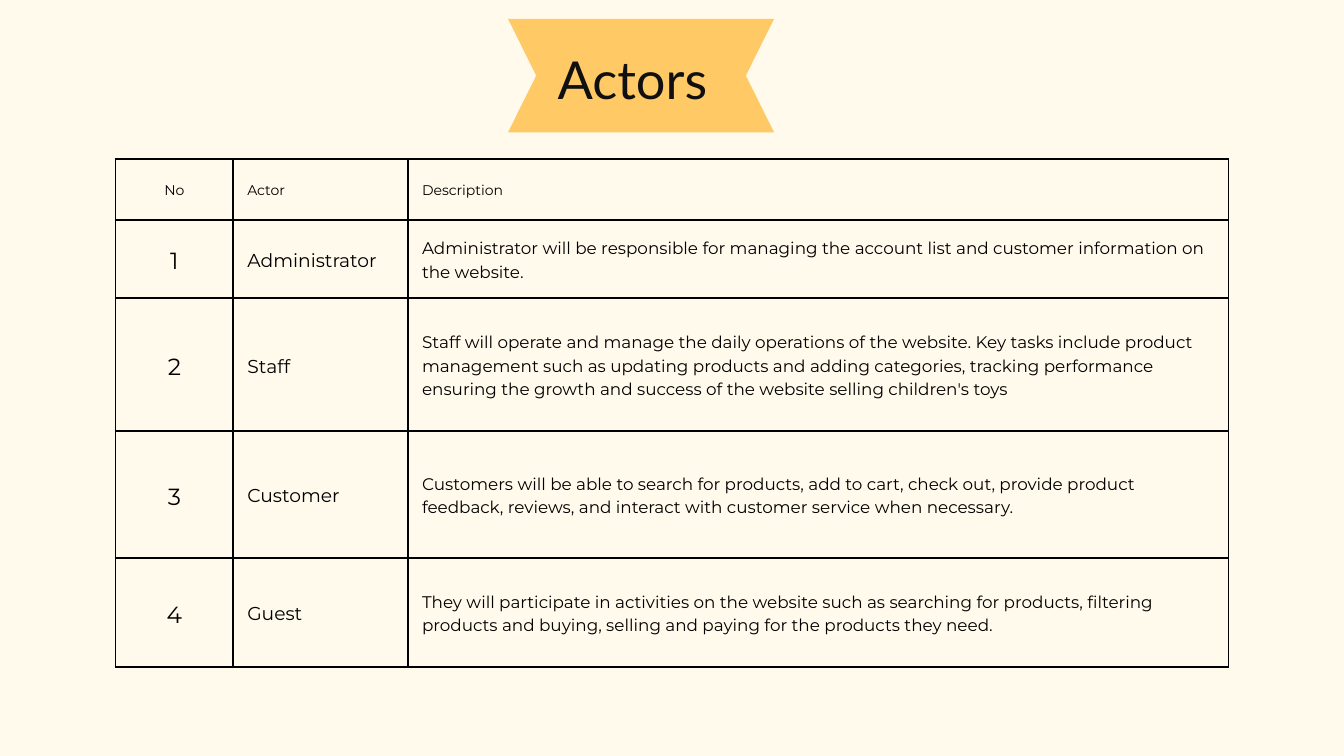
"""Build the slide that lists the actors of the website."""
from dataclasses import dataclass

from lxml.etree import SubElement
from pptx import Presentation
from pptx.dml.color import RGBColor
from pptx.enum.text import MSO_ANCHOR, PP_ALIGN
from pptx.oxml.ns import qn
from pptx.util import Inches, Pt

TITLE = "Actors"
HEADER = ("No", "Actor", "Description")
ACTORS = [
    ("Administrator", "Administrator will be responsible for managing the account list "
     "and customer information on the website."),
    ("Staff", "Staff will operate and manage the daily operations of the website. "
     "Key tasks include product management such as updating products and adding "
     "categories, tracking performance ensuring the growth and success of the "
     "website selling children's toys"),
    ("Customer", "Customers will be able to search for products, add to cart, check out, "
     "provide product feedback, reviews, and interact with customer service when necessary."),
    ("Guest", "They will participate in activities on the website such as searching for "
     "products, filtering products and buying, selling and paying for the products they need."),
]
COLUMN_WIDTHS = (1.75, 2.6, 12.21)
ROW_HEIGHTS = (0.9, 1.17, 1.98, 1.88, 1.63)
ALIGNMENTS = (PP_ALIGN.CENTER, PP_ALIGN.LEFT, PP_ALIGN.LEFT)


@dataclass(frozen=True)
class Theme:
    """Colours, fonts and sizes of the slide."""
    background: str = "FFFAEB"
    ribbon: str = "FFC966"
    title: str = "101010"
    ink: str = "000000"
    title_font: str = "Lato"
    body_font: str = "Montserrat"
    title_size: int = 56
    header_size: int = 15
    body_sizes: tuple = (25, 20, 18)
    line_spacing: float = 1.4
    border_width: float = 2.25
    cell_margin: float = 0.21


THEME = Theme()


def write(text_frame, text, font_name, size, color, alignment=PP_ALIGN.LEFT):
    """Write one styled paragraph into a text frame."""
    paragraph = text_frame.paragraphs[0]
    paragraph.text = text
    paragraph.alignment = alignment
    paragraph.line_spacing = Pt(size * THEME.line_spacing)
    paragraph.font.name = font_name
    paragraph.font.size = Pt(size)
    paragraph.font.color.rgb = RGBColor.from_string(color)


def add_ribbon(slide, left, top, width, height, notch):
    """Draw a ribbon with a notch cut into each end."""
    right, middle, bottom = left + width, top + height / 2, top + height
    points = [(left, top), (left + notch, middle), (left, bottom),
              (right, bottom), (right - notch, middle)]
    builder = slide.shapes.build_freeform(Inches(right), Inches(top))
    builder.add_line_segments([(Inches(x), Inches(y)) for x, y in points], close=True)
    shape = builder.convert_to_shape()
    shape.shadow.inherit = False
    shape.fill.solid()
    shape.fill.fore_color.rgb = RGBColor.from_string(THEME.ribbon)
    shape.line.fill.background()


def add_title(slide):
    """Place the title on the ribbon."""
    box = slide.shapes.add_textbox(Inches(8.3), Inches(0.54), Inches(2.96), Inches(1.05))
    frame = box.text_frame
    frame.word_wrap = True
    frame.margin_left = frame.margin_right = frame.margin_top = frame.margin_bottom = 0
    write(frame, TITLE, THEME.title_font, THEME.title_size, THEME.title)


def set_borders(cell):
    """Draw a line on each side of a cell."""
    properties = cell._tc.get_or_add_tcPr()
    for side in ("lnL", "lnR", "lnT", "lnB"):
        line = SubElement(properties, qn(f"a:{side}"), w=str(Pt(THEME.border_width)))
        fill = SubElement(line, qn("a:solidFill"))
        SubElement(fill, qn("a:srgbClr"), val=THEME.ink)


def add_actor_table(slide):
    """Fill the table of actors."""
    rows = [HEADER] + [(str(number), *actor) for number, actor in enumerate(ACTORS, 1)]
    table = slide.shapes.add_table(
        len(rows), len(HEADER), Inches(1.72), Inches(2.37),
        Inches(sum(COLUMN_WIDTHS)), Inches(sum(ROW_HEIGHTS))).table
    table.first_row = table.horz_banding = False
    for column, width in zip(table.columns, COLUMN_WIDTHS):
        column.width = Inches(width)
    for row, height, texts in zip(table.rows, ROW_HEIGHTS, rows):
        row.height = Inches(height)
        sizes = [THEME.header_size] * len(HEADER) if texts is HEADER else THEME.body_sizes
        for cell, text, size, alignment in zip(row.cells, texts, sizes, ALIGNMENTS):
            set_borders(cell)
            cell.fill.background()
            cell.vertical_anchor = MSO_ANCHOR.MIDDLE
            cell.margin_left = cell.margin_right = Inches(THEME.cell_margin)
            cell.margin_top = cell.margin_bottom = Inches(THEME.cell_margin)
            write(cell.text_frame, text, THEME.body_font, size, THEME.ink, alignment)


def main():
    """Build and save the presentation."""
    presentation = Presentation()
    presentation.slide_width, presentation.slide_height = Inches(20), Inches(11.25)
    slide = presentation.slides.add_slide(presentation.slide_layouts[6])
    slide.background.fill.solid()
    slide.background.fill.fore_color.rgb = RGBColor.from_string(THEME.background)
    add_ribbon(slide, 7.56, 0.28, 3.96, 1.69, 0.42)
    add_actor_table(slide)
    add_title(slide)
    presentation.save("out.pptx")


if __name__ == "__main__":
    main()
